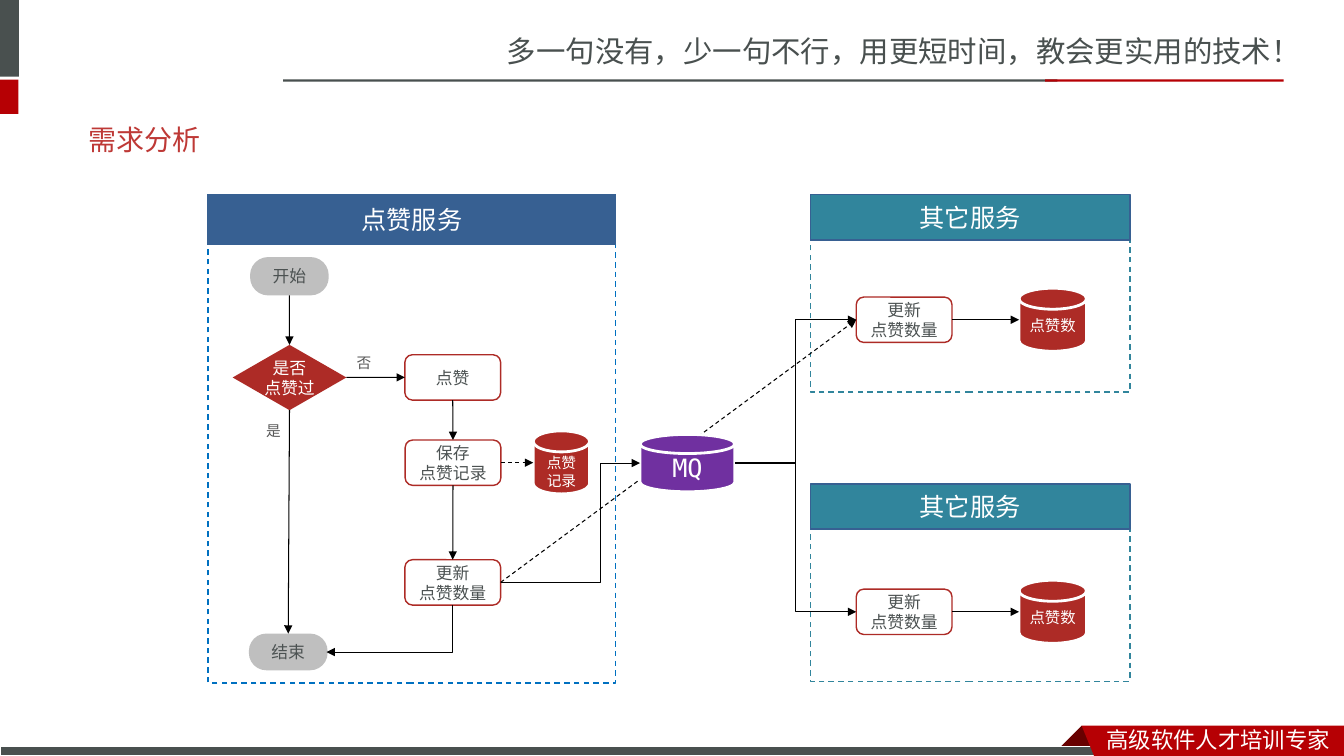
from lxml.etree import SubElement
from pptx import Presentation
from pptx.dml.color import RGBColor
from pptx.enum.dml import MSO_LINE
from pptx.enum.shapes import MSO_CONNECTOR, MSO_SHAPE
from pptx.enum.text import MSO_ANCHOR, PP_ALIGN
from pptx.oxml.ns import qn
from pptx.util import Pt

WHITE = RGBColor(0xFF, 0xFF, 0xFF)
BLACK = RGBColor(0, 0, 0)
SLATE = RGBColor(0x49, 0x50, 0x4F)
INK = RGBColor(0x4C, 0x52, 0x52)
LABEL = RGBColor(0x59, 0x59, 0x59)
GRAY = RGBColor(0xBF, 0xBF, 0xBF)
RED = RGBColor(0xB6, 0x00, 0x04)
MAROON = RGBColor(0x68, 0x00, 0x00)
BRICK = RGBColor(0xAD, 0x2B, 0x26)
TITLE = RGBColor(0xBE, 0x39, 0x36)
NAVY = RGBColor(0x37, 0x60, 0x92)
BLUE = RGBColor(0x00, 0x70, 0xC0)
TEAL = RGBColor(0x31, 0x85, 0x9C)
PURPLE = RGBColor(0x70, 0x30, 0xA0)
MONO = "DejaVu Sans Mono"
SANS = "Noto Sans CJK SC"
BOX_W, BOX_H = 68.4, 32.4


def write(frame, text, size, color, face=MONO, align=PP_ALIGN.CENTER):
    for i, line in enumerate(text.split("\n")):
        para = frame.paragraphs[0] if i == 0 else frame.add_paragraph()
        para.alignment = align
        run = para.add_run()
        run.text = line
        font = run.font
        font.name, font.size, font.color.rgb = face, Pt(size), color
        SubElement(run._r.rPr, qn("a:ea")).set("typeface", face)


def paint(shape, fill, edge=None, width=1, dash=False):
    shape.shadow.inherit = False
    if fill is None:
        shape.fill.background()
    else:
        shape.fill.solid()
        shape.fill.fore_color.rgb = fill
    if edge is None:
        shape.line.fill.background()
    else:
        shape.line.color.rgb = edge
        shape.line.width = Pt(width)
        if dash:
            shape.line.dash_style = MSO_LINE.DASH


def block(slide, kind, spot, fill, edge=None, width=1, dash=False,
          text="", size=12, color=WHITE, top=3.6, low=3.6):
    shape = slide.shapes.add_shape(kind, *map(Pt, spot))
    paint(shape, fill, edge, width, dash)
    if text:
        frame = shape.text_frame
        frame.word_wrap = True
        frame.vertical_anchor = MSO_ANCHOR.MIDDLE
        frame.margin_left = frame.margin_right = 0
        frame.margin_top, frame.margin_bottom = Pt(top), Pt(low)
        write(frame, text, size, color)
    return shape


def label(slide, spot, text, size, color, face=MONO, wrap=True, mid=False):
    frame = slide.shapes.add_textbox(*map(Pt, spot)).text_frame
    frame.word_wrap = wrap
    if mid:
        frame.vertical_anchor = MSO_ANCHOR.MIDDLE
    write(frame, text, size, color, face, PP_ALIGN.LEFT)


def poly(slide, points, fill):
    first, *rest = [(Pt(x), Pt(y)) for x, y in points]
    build = slide.shapes.build_freeform(*first)
    build.add_line_segments(rest, close=True)
    paint(build.convert_to_shape(), fill)


def step(slide, x, y, text):
    return block(slide, MSO_SHAPE.ROUNDED_RECTANGLE, (x, y, BOX_W, BOX_H),
                 None, BRICK, text=text, color=INK)


def pill(slide, x, y, height, text):
    shape = block(slide, MSO_SHAPE.ROUNDED_RECTANGLE, (x, y, 56.2, height),
                  GRAY, text=text, color=INK)
    shape.adjustments[0] = 0.474
    return shape


def disk(slide, spot, fill, text, size, top=3.6, low=3.6):
    return block(slide, MSO_SHAPE.FLOWCHART_MAGNETIC_DISK, spot, fill, WHITE,
                 2, text=text, size=size, top=top, low=low)


def panel(slide, spot, bar, edge, fill, rim, text):
    x, y, width, _ = spot
    block(slide, MSO_SHAPE.RECTANGLE, spot, None, edge, dash=True)
    block(slide, MSO_SHAPE.RECTANGLE, (x, y, width, bar), fill, rim,
          text=text, size=18)


def link(slide, ends, kind=MSO_CONNECTOR.STRAIGHT, dash=False,
         start=None, stop=None):
    line = slide.shapes.add_connector(kind, *map(Pt, ends))
    if start:
        line.begin_connect(*start)
    if stop:
        line.end_connect(*stop)
    line.line.color.rgb = BLACK
    line.line.width = Pt(0.75)
    if dash:
        line.line.dash_style = MSO_LINE.DASH
    props = line._element.spPr
    SubElement(props.find(qn("a:ln")), qn("a:tailEnd")).set("type", "triangle")
    SubElement(props, qn("a:effectLst"))
    return line


def bend(slide, ends, ratio=0.5):
    line = link(slide, ends, MSO_CONNECTOR.ELBOW)
    guides = line._element.spPr.prstGeom.get_or_add_avLst()
    guide = SubElement(guides, qn("a:gd"))
    guide.set("name", "adj1")
    guide.set("fmla", f"val {round(ratio * 100000)}")


def corner(slide, ends):
    line = link(slide, ends, MSO_CONNECTOR.ELBOW)
    props = line._element.spPr
    props.prstGeom.set("prst", "bentConnector2")
    props.find(qn("a:xfrm")).set("rot", "5400000")


def frame_page(slide):
    label(slide, (355, 20.2, 605, 33.8),
          "多一句没有，少一句不行，用更短时间，教会更实用的技术！", 21, SLATE, SANS)
    for spot, fill in (((0, 0, 13.5, 54.7), SLATE),
                       ((0, 56.9, 13.2, 24.5), RED),
                       ((202.3, 56.7, 553, 1.6), SLATE),
                       ((746.6, 56.7, 170.4, 1.6), RED)):
        block(slide, MSO_SHAPE.RECTANGLE, spot, fill)
    poly(slide, [(772.6, 518.4), (788.4, 534.3), (787.7, 535),
                 (757.4, 535), (756.7, 534.3)], MAROON)
    block(slide, MSO_SHAPE.RECTANGLE, (0, 533.5, 791.3, 6.5), SLATE, WHITE, 0.75)
    poly(slide, [(772.6, 518.4), (960, 518.4), (960, 540), (781.5, 540)], RED)
    label(slide, (783.4, 514.8, 176.6, 26.6), "高级软件人才培训专家", 16, WHITE, SANS)
    label(slide, (56.2, 79.2, 842.4, 41), "需求分析", 20, TITLE, "Calibri", mid=True)


def like_flow(slide):
    panel(slide, (148.7, 139, 291, 348.8), 35.6, BLUE, NAVY, NAVY, "点赞服务")
    begin = pill(slide, 178.6, 183.6, 27.4, "开始")
    check = block(slide, MSO_SHAPE.DIAMOND, (166.2, 246.3, 81.2, 46.7), BRICK,
                  text="是否\n点赞过")
    finish = pill(slide, 177.8, 452.6, 26.2, "结束")
    like = step(slide, 289.2, 253.4, "点赞")
    save = step(slide, 289.4, 314.3, "保存\n点赞记录")
    count = step(slide, 289.2, 399.8, "更新\n点赞数量")
    disk(slide, (380.9, 307.8, 40.3, 45), BRICK, "点赞\n记录", 10.5, 5.8, 0)
    label(slide, (183, 297.4, 25.2, 20.2), "是", 10.5, LABEL, wrap=False)
    label(slide, (247.7, 249.1, 25.2, 20.2), "否", 10.5, LABEL, wrap=False)
    for one, two in ((begin, check), (check, finish), (like, save), (save, count)):
        link(slide, (0, 0, 9, 9), start=(one, 2), stop=(two, 0))
    link(slide, (0, 0, 9, 9), start=(check, 3), stop=(like, 1))
    link(slide, (358, 330.5, 380.9, 330.5), dash=True, start=(save, 3))
    corner(slide, (261.4, 403.9, 295.2, 493.9))
    return count


def other(slide, top, drop):
    panel(slide, (578.9, top, 228.2, 141.1), 32.4, TEAL, TEAL, NAVY, "其它服务")
    box = step(slide, 611.6, top + drop, "更新\n点赞数量")
    disk(slide, (727.9, top + drop - 6.3, 48.2, 45), BRICK, "点赞数", 11)
    mid = top + drop + BOX_H / 2
    link(slide, (680, mid, 727.9, mid), start=(box, 3))
    return box, mid


def main():
    deck = Presentation()
    deck.slide_width, deck.slide_height = Pt(960), Pt(540)
    slide = deck.slides.add_slide(deck.slide_layouts[6])
    frame_page(slide)
    count = like_flow(slide)
    upper, high = other(slide, 139, 73.2)
    _, low = other(slide, 345.6, 75.2)
    link(slide, (0, 0, 9, 9), dash=True, start=(count, 3), stop=(upper, 1))
    disk(slide, (457.2, 310.3, 67.7, 41), PURPLE, "MQ", 18)
    bend(slide, (357.6, 416, 457.2, 330.8), 0.717)
    for mid in (high, low):
        bend(slide, (524.9, 330.8, 611.6, mid))
    deck.save("out.pptx")


if __name__ == "__main__":
    main()
